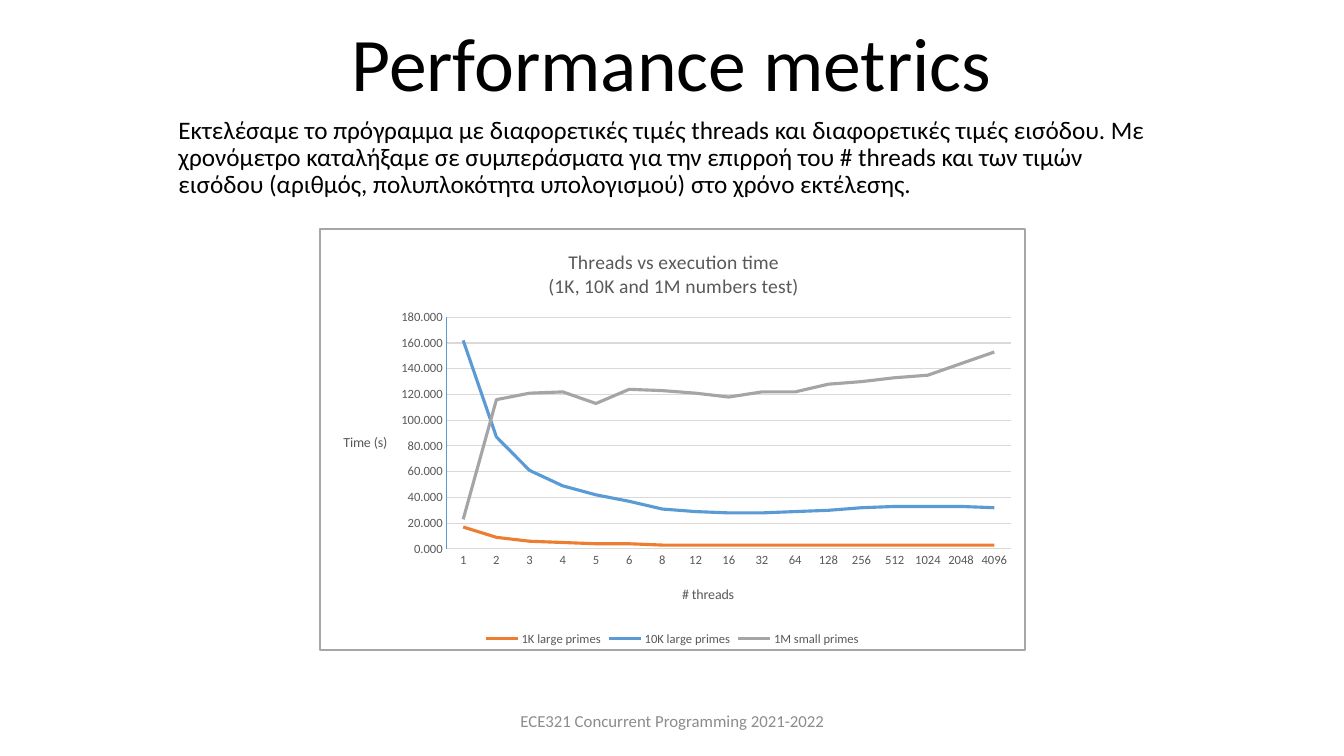
"""Build the performance metrics slide with its thread timing chart."""
from dataclasses import dataclass
from typing import Any, Optional

from lxml.etree import SubElement
from pptx import Presentation
from pptx.chart.axis import CategoryAxis
from pptx.chart.chart import Chart
from pptx.chart.data import CategoryChartData
from pptx.dml.color import RGBColor
from pptx.enum.chart import XL_CHART_TYPE, XL_LEGEND_POSITION, XL_TICK_MARK
from pptx.enum.text import MSO_ANCHOR, MSO_AUTO_SIZE, PP_ALIGN
from pptx.oxml import parse_xml
from pptx.oxml.ns import nsdecls, qn
from pptx.shapes.autoshape import Shape
from pptx.text.text import Font
from pptx.util import Cm, Pt

BLACK = RGBColor(0x00, 0x00, 0x00)
FOOTER_GRAY = RGBColor(0x8C, 0x8C, 0x8C)
LABEL_GRAY = RGBColor(0x59, 0x59, 0x59)
GRID_GRAY = RGBColor(0xD9, 0xD9, 0xD9)
BORDER_GRAY = RGBColor(0xA6, 0xA6, 0xA6)
ORANGE = RGBColor(0xED, 0x7D, 0x31)
BLUE = RGBColor(0x5B, 0x9B, 0xD5)
GRAY = RGBColor(0xA5, 0xA5, 0xA5)
FONT_NAME = "Calibri"

THREADS = ["1", "2", "3", "4", "5", "6", "8", "12", "16", "32", "64",
           "128", "256", "512", "1024", "2048", "4096"]


@dataclass(frozen=True)
class TextBlock:
    """Text with its frame in centimetres and its format."""
    text: str
    frame: tuple[float, float, float, float]
    size: int
    color: RGBColor
    alignment: PP_ALIGN
    anchor: MSO_ANCHOR
    line_spacing: float


@dataclass(frozen=True)
class TimingSeries:
    """Execution times of one test."""
    name: str
    color: RGBColor
    seconds: tuple[int, ...]


TITLE = TextBlock("Performance metrics", (2.64, 0.53, 28.58, 2.31), 54, BLACK,
                  PP_ALIGN.CENTER, MSO_ANCHOR.BOTTOM, 0.9)
BODY = TextBlock(
    "Εκτελέσαμε το πρόγραμμα με διαφορετικές τιμές threads και διαφορετικές "
    "τιμές εισόδου. Με χρονόμετρο καταλήξαμε σε συμπεράσματα για την επιρροή "
    "του # threads και των τιμών εισόδου (αριθμός, πολυπλοκότητα υπολογισμού) "
    "στο χρόνο εκτέλεσης.",
    (4.24, 2.84, 25.4, 2.64), 18, BLACK, PP_ALIGN.LEFT, MSO_ANCHOR.TOP, 0.9)
FOOTER = TextBlock("ECE321 Concurrent Programming 2021-2022",
                   (11.23, 17.65, 11.43, 1.02), 12, FOOTER_GRAY,
                   PP_ALIGN.CENTER, MSO_ANCHOR.MIDDLE, 1.0)
CHART_FRAME = (8.03, 5.74, 17.83, 10.67)
TIMINGS = [
    TimingSeries("1K large primes", ORANGE,
                 (17, 9, 6, 5, 4, 4, 3, 3, 3, 3, 3, 3, 3, 3, 3, 3, 3)),
    TimingSeries("10K large primes", BLUE,
                 (162, 87, 61, 49, 42, 37, 31, 29, 28, 28, 29, 30, 32, 33, 33, 33, 32)),
    TimingSeries("1M small primes", GRAY,
                 (23, 116, 121, 122, 113, 124, 123, 121, 118, 122, 122, 128, 130,
                  133, 135, 144, 153)),
]


def apply_format(target: Any, values: dict[str, Any]) -> None:
    """Set each named attribute on the target."""
    for name, value in values.items():
        setattr(target, name, value)


def format_font(font: Font, size: int, color: RGBColor) -> None:
    """Give a font its name, size and colour."""
    apply_format(font, {"name": FONT_NAME, "size": Pt(size), "bold": False})
    font.color.rgb = color


def format_line(line: Any, color: RGBColor, width: float) -> None:
    """Give a line its colour and width."""
    line.color.rgb = color
    line.width = Pt(width)


def fill_text(shape: Shape, block: TextBlock) -> None:
    """Place a shape and write its text."""
    left, top, width, height = map(Cm, block.frame)
    apply_format(shape, {"left": left, "top": top, "width": width, "height": height})
    apply_format(shape.text_frame, {
        "text": block.text, "word_wrap": True,
        "auto_size": MSO_AUTO_SIZE.NONE, "vertical_anchor": block.anchor})
    paragraph = shape.text_frame.paragraphs[0]
    apply_format(paragraph, {"alignment": block.alignment, "space_before": Pt(0),
                             "line_spacing": block.line_spacing})
    format_font(paragraph.runs[0].font, block.size, block.color)


def place_part(part: Any, index: int, x: float, y: float,
               size: Optional[tuple[float, float]] = None) -> None:
    """Fix a chart part at fractions of the chart area."""
    for layout in part.findall(qn("c:layout")):
        part.remove(layout)
    layout = parse_xml(f"<c:layout {nsdecls('c')}><c:manualLayout/></c:layout>")
    settings = {"xMode": "edge", "yMode": "edge", "x": x, "y": y}
    if size:
        settings = {"layoutTarget": "inner", **settings, "w": size[0], "h": size[1]}
    for name, value in settings.items():
        SubElement(layout[0], qn(f"c:{name}")).set("val", str(value))
    part.insert(index, layout)


def write_title(title: Any, text: str, size: int, x: float, y: float) -> None:
    """Write a chart or axis title horizontally at a fixed place."""
    title.text_frame.text = text
    for paragraph in title.text_frame.paragraphs:
        format_font(paragraph.runs[0].font, size, LABEL_GRAY)
    title.element.find(f".//{qn('a:bodyPr')}").set("rot", "0")
    place_part(title.element, 1, x, y)


def format_axis(axis: CategoryAxis, color: RGBColor) -> None:
    """Style an axis line and its labels."""
    apply_format(axis, {"major_tick_mark": XL_TICK_MARK.NONE,
                        "minor_tick_mark": XL_TICK_MARK.NONE, "has_title": True})
    format_font(axis.tick_labels.font, 9, LABEL_GRAY)
    format_line(axis.format.line, color, 0.75)


def add_border(chart: Chart) -> None:
    """Outline the chart area."""
    border = parse_xml(
        f"<c:spPr {nsdecls('c', 'a')}><a:noFill/><a:ln w='{Pt(1.5)}'><a:solidFill>"
        f"<a:srgbClr val='{BORDER_GRAY}'/></a:solidFill></a:ln></c:spPr>")
    chart.element.find(qn("c:chart")).addnext(border)


def add_timing_chart(slide: Any) -> None:
    """Add the line chart of execution times."""
    data = CategoryChartData(number_format="#,##0.000")
    data.categories = THREADS
    for timing in TIMINGS:
        data.add_series(timing.name, timing.seconds)
    chart = slide.shapes.add_chart(
        XL_CHART_TYPE.LINE, *map(Cm, CHART_FRAME), data).chart
    format_font(chart.font, 10, BLACK)
    apply_format(chart, {"has_title": True, "has_legend": True})
    write_title(chart.chart_title,
                "Threads vs execution time\n(1K, 10K and 1M numbers test)", 14, 0.32, 0.04)
    apply_format(chart.legend, {"position": XL_LEGEND_POSITION.BOTTOM,
                                "include_in_layout": False})
    format_font(chart.legend.font, 9, LABEL_GRAY)

    format_axis(chart.category_axis, GRID_GRAY)
    write_title(chart.category_axis.axis_title, "# threads", 10, 0.51, 0.84)
    value_axis = chart.value_axis
    format_axis(value_axis, BLUE)
    write_title(value_axis.axis_title, "Time (s)", 10, 0.03, 0.48)
    apply_format(value_axis, {"minimum_scale": 0, "maximum_scale": 180,
                              "major_unit": 20, "has_major_gridlines": True})
    apply_format(value_axis.tick_labels, {"number_format": "#,##0.000",
                                          "number_format_is_linked": False})
    format_line(value_axis.major_gridlines.format.line, GRID_GRAY, 0.75)

    plot = chart.plots[0]
    plot.vary_by_categories = False
    for series, timing in zip(plot.series, TIMINGS):
        series.smooth = False
        format_line(series.format.line, timing.color, 2.25)
    place_part(chart.element.find(f".//{qn('c:plotArea')}"), 0, 0.18, 0.21, (0.8, 0.55))
    add_border(chart)


def main() -> None:
    """Build and save the presentation."""
    presentation = Presentation()
    apply_format(presentation, {"slide_width": Cm(33.87), "slide_height": Cm(19.05)})
    slide = presentation.slides.add_slide(presentation.slide_layouts[0])
    fill_text(slide.shapes.title, TITLE)
    fill_text(slide.placeholders[1], BODY)
    fill_text(slide.shapes.add_textbox(*map(Cm, FOOTER.frame)), FOOTER)
    add_timing_chart(slide)
    presentation.save("out.pptx")


if __name__ == "__main__":
    main()
